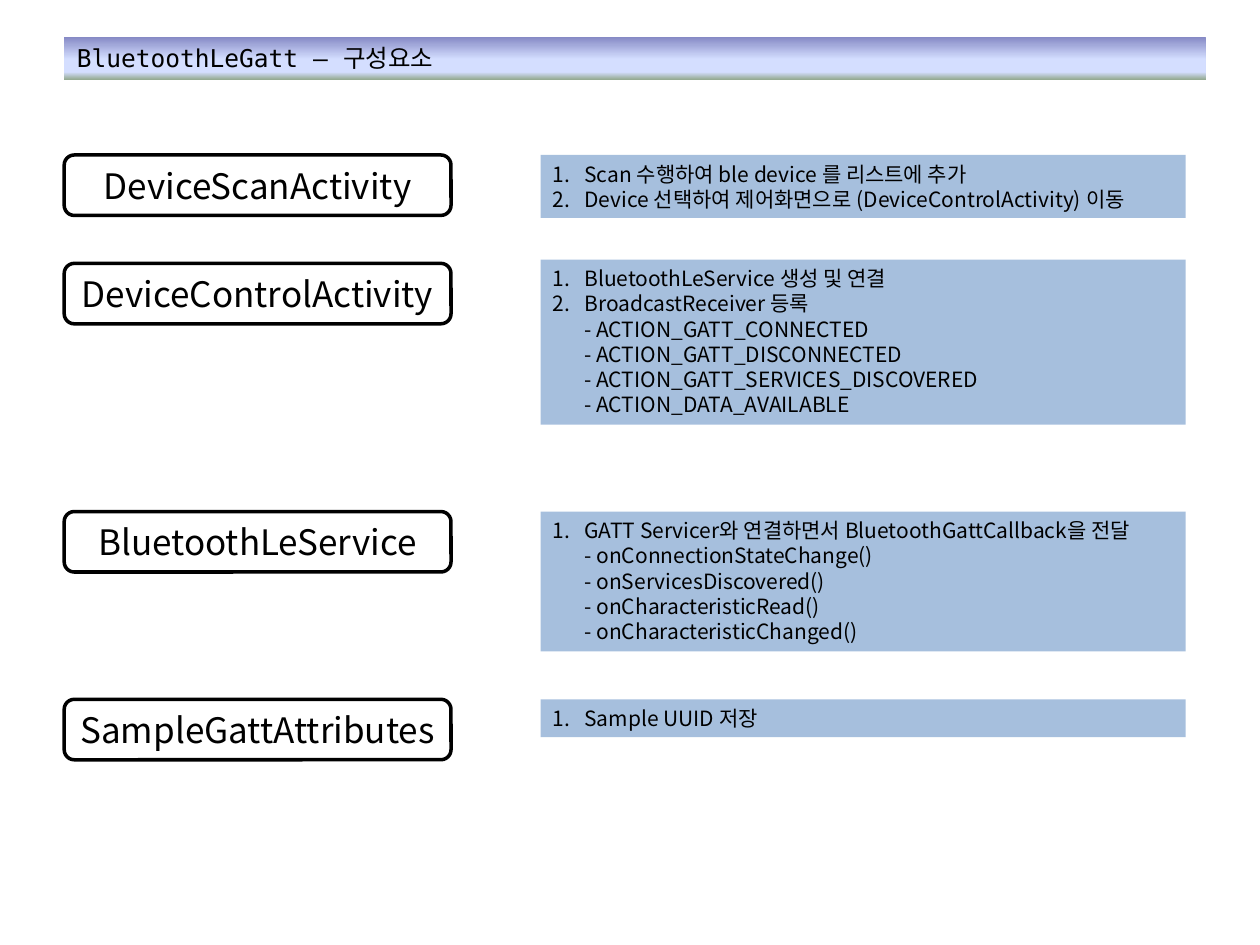
import copy
import pptx
import pptx.dml.color
import pptx.enum.shapes
import pptx.enum.text
import pptx.oxml
import pptx.oxml.ns
import pptx.util
from pptx.util import Inches

SANS = "Noto Sans CJK KR"
MONO = "DejaVu Sans Mono"
LEFT = 0.51
qn = pptx.oxml.ns.qn


def color(value):
    """Turn a hex string into a colour."""
    return pptx.dml.color.RGBColor.from_string(value)


def write(box, paragraphs, size=12, font=SANS, align="LEFT", anchor="TOP",
          wrap=True, numbered=False):
    """Fill a shape with formatted paragraphs; a newline is a line break."""
    frame = box.text_frame
    frame.word_wrap = wrap
    frame.auto_size = pptx.enum.text.MSO_AUTO_SIZE.NONE
    frame.vertical_anchor = getattr(pptx.enum.text.MSO_ANCHOR, anchor)
    for index, text in enumerate(paragraphs):
        para = frame.add_paragraph() if index else frame.paragraphs[0]
        para.text = text
        para.alignment = getattr(pptx.enum.text.PP_ALIGN, align)
        for span in para.runs:
            span.font.size = pptx.util.Pt(size)
            span.font.name = font
            span.font.color.rgb = color("000000")
            east = span.font._element.makeelement(qn("a:ea"), {"typeface": SANS})
            span.font._element.find(qn("a:latin")).addnext(east)
        for line_break in para._p.findall(qn("a:br")):
            line_break.append(copy.deepcopy(para.runs[0].font._element))
        if numbered:
            props = para._p.get_or_add_pPr()
            props.set("marL", str(Inches(0.25)))
            props.set("indent", str(Inches(-0.25)))
            bullet = props.makeelement(qn("a:buAutoNum"), {"type": "arabicPeriod"})
            props.append(bullet)


deck = pptx.Presentation()
deck.slide_width, deck.slide_height = Inches(10), Inches(7.5)
page = deck.slides.add_slide(deck.slide_layouts[5])

# Title bar
title = page.shapes.title
title.left, title.top = Inches(LEFT), Inches(0.29)
title.width, title.height = Inches(9.06), Inches(0.34)
title.fill.gradient()
title.fill.gradient_angle = 270
stops = title._element.spPr.find(qn("a:gradFill")).find(qn("a:gsLst"))
for stop in list(stops):
    stops.remove(stop)
for percent, value in [(0, "8488C4"), (53, "D4DEFF"), (83, "D4DEFF"), (100, "96AB94")]:
    stop = stops.makeelement(qn("a:gs"), {"pos": str(percent * 1000)})
    stop.append(stop.makeelement(qn("a:srgbClr"), {"val": value}))
    stops.append(stop)
write(title, ["BluetoothLeGatt – 구성요소"], size=14, font=MONO)

# Component name, its top, then its description's top, height and numbered items
components = [
    ("DeviceScanActivity", 1.23, 1.23, 0.5, [
        "Scan 수행하여 ble device 를 리스트에 추가",
        "Device 선택하여 제어화면으로 (DeviceControlActivity) 이동"]),
    ("DeviceControlActivity", 2.09, 2.06, 1.31, [
        "BluetoothLeService 생성 및 연결",
        "BroadcastReceiver 등록\n- ACTION_GATT_CONNECTED\n"
        "- ACTION_GATT_DISCONNECTED\n- ACTION_GATT_SERVICES_DISCOVERED\n"
        "- ACTION_DATA_AVAILABLE"]),
    ("BluetoothLeService", 4.06, 4.06, 1.11, [
        "GATT Servicer와 연결하면서 BluetoothGattCallback을 전달\n"
        "- onConnectionStateChange()\n- onServicesDiscovered()\n"
        "- onCharacteristicRead()\n- onCharacteristicChanged()"]),
    ("SampleGattAttributes", 5.55, 5.55, 0.3, ["Sample UUID 저장"]),
]

shape_types = pptx.enum.shapes.MSO_SHAPE
for name, name_top, top, height, items in components:
    label = page.shapes.add_shape(shape_types.ROUNDED_RECTANGLE, Inches(LEFT),
                                  Inches(name_top), Inches(3.07), Inches(0.48))
    label.shadow.inherit = False
    label.fill.background()
    label.line.color.rgb = color("000000")
    label.line.width = pptx.util.Pt(2)
    write(label, [name], size=20, align="CENTER", anchor="MIDDLE", wrap=False)

    panel = page.shapes.add_shape(shape_types.RECTANGLE, Inches(4.29),
                                  Inches(top), Inches(5.12), Inches(height))
    panel.shadow.inherit = False
    panel.fill.solid()
    panel.fill.fore_color.rgb = color("4F81BD")
    tint = panel._element.spPr.find(qn("a:solidFill"))[0]
    tint.append(tint.makeelement(qn("a:alpha"), {"val": "50000"}))
    panel.line.fill.background()
    write(panel, items, numbered=True)

deck.save("out.pptx")
